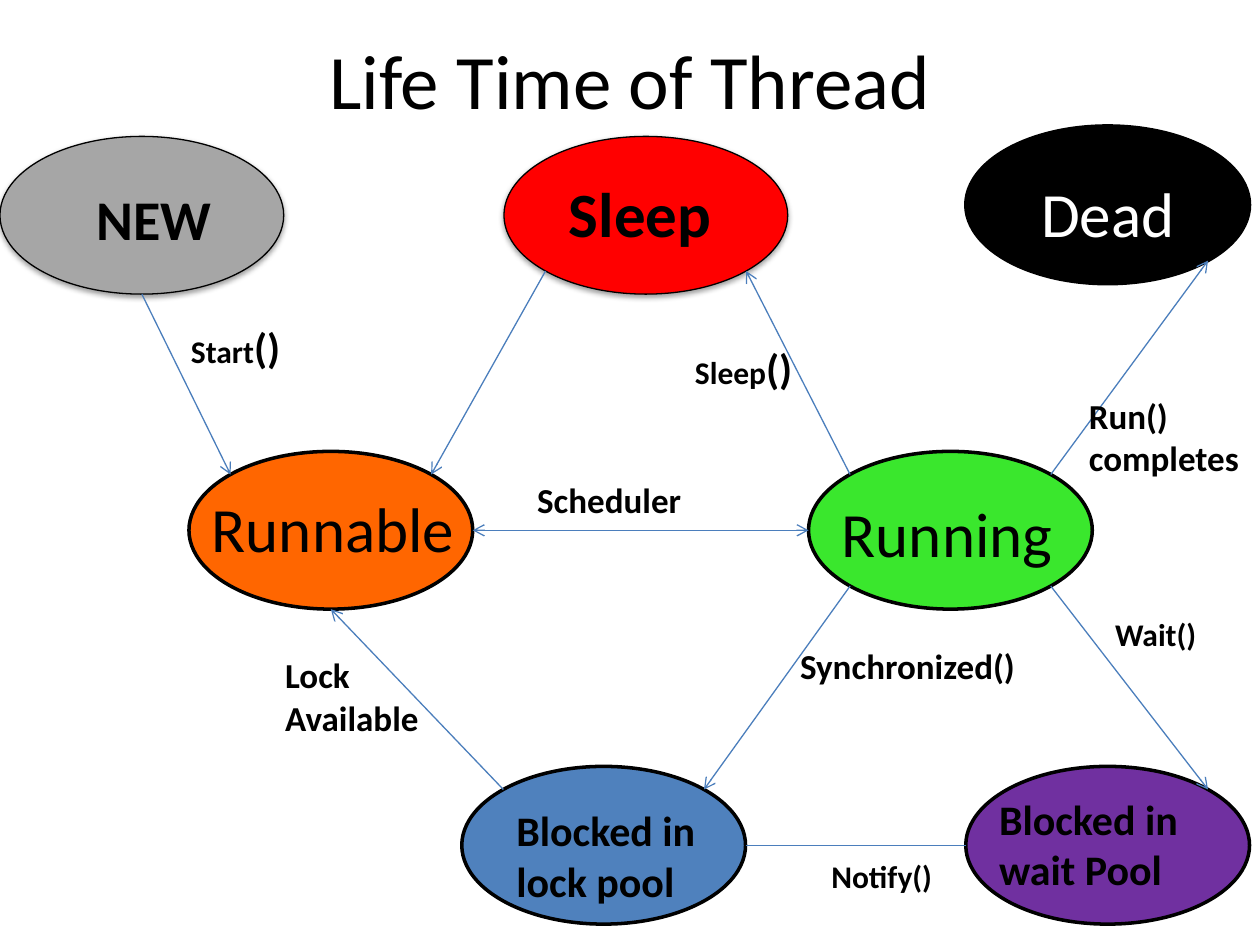
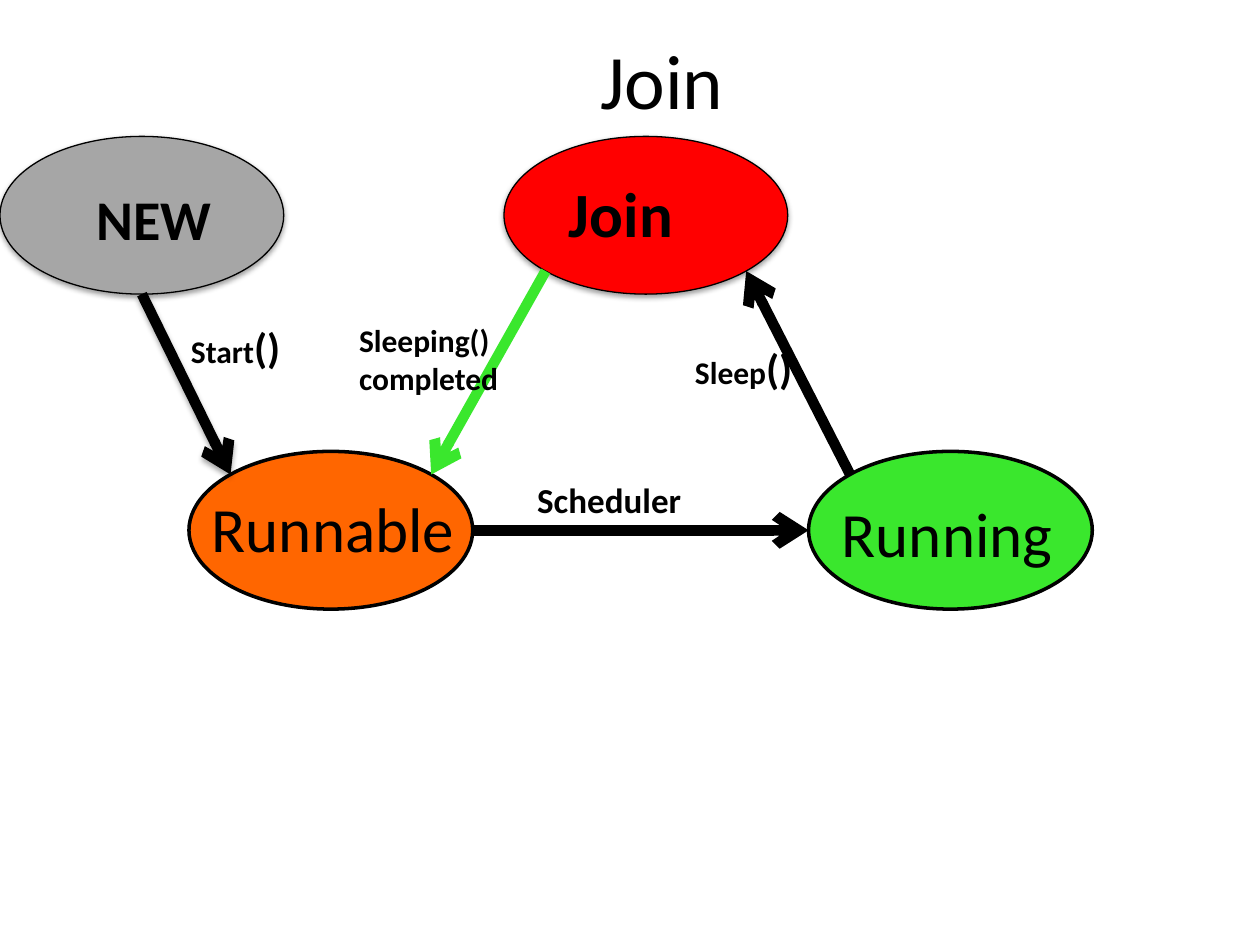
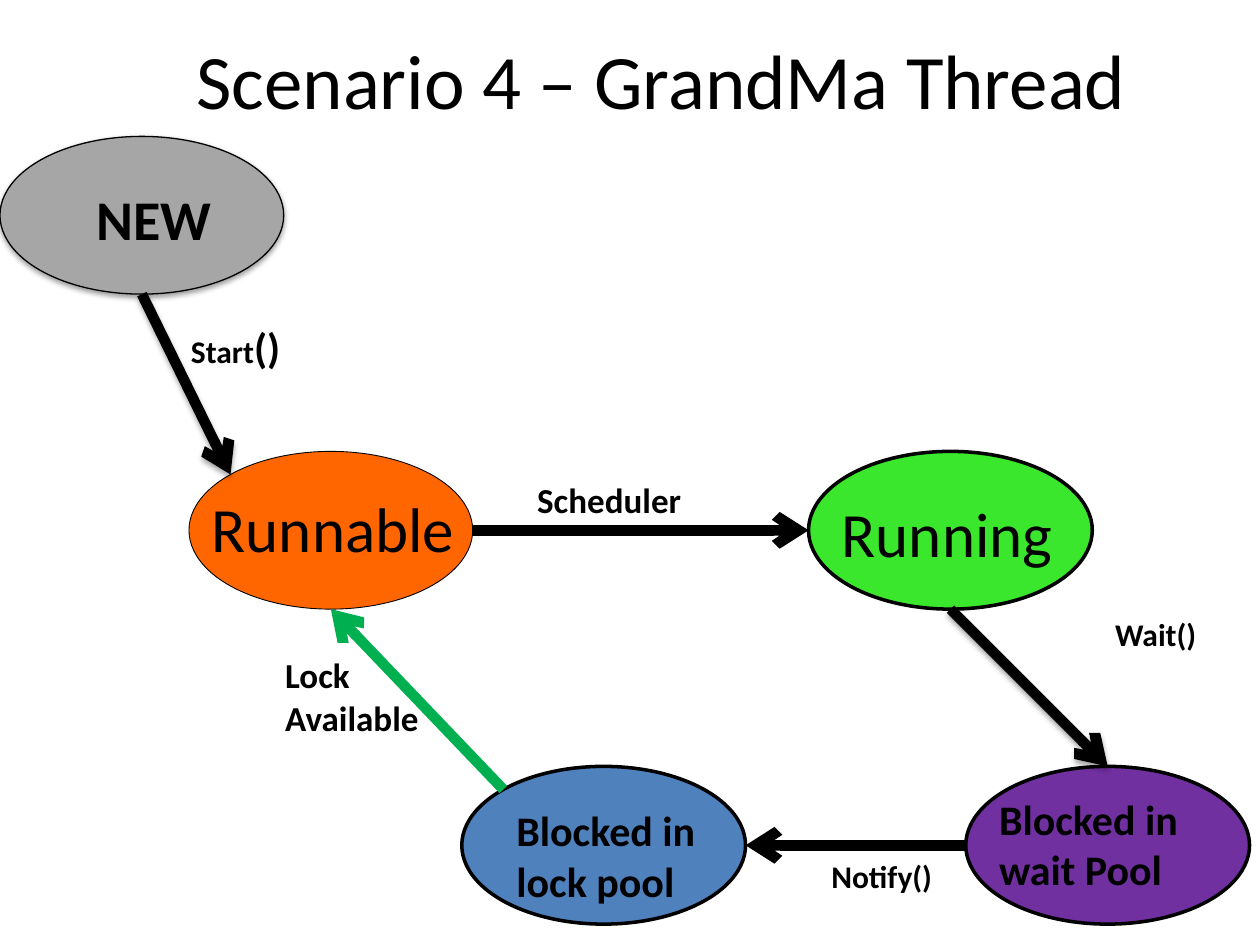
from collections import namedtuple
from math import cos, radians, sin

from lxml.etree import SubElement
from pptx import Presentation
from pptx.dml.color import RGBColor
from pptx.enum.shapes import MSO_CONNECTOR as Connector, MSO_SHAPE as Shape
from pptx.enum.text import MSO_ANCHOR as Anchor, MSO_AUTO_SIZE as AutoSize, PP_ALIGN as Align
from pptx.oxml.ns import qn
from pptx.util import Cm, Pt

FONT = "Calibri"
COLORS = {
    "black": "000000", "white": "FFFFFF", "grey": "A6A6A6", "red": "FF0000",
    "orange": "FF6600", "lime": "3AE72D", "blue": "4F81BD", "purple": "7030A0",
    "thin": "4B7EBC", "green": "00B050",
}
OVAL_WIDTH, OVAL_HEIGHT = 5.72, 3.18
TITLE_WIDTH = 22.86

# Connection sites of an ellipse, counter-clockwise from the top
TOP, TOP_LEFT, LEFT, BOTTOM_LEFT, BOTTOM, BOTTOM_RIGHT, RIGHT, TOP_RIGHT = range(8)

# States: place of the ellipse, and its caption box relative to it (cm)
State = namedtuple("State", "left top fill caption box size bold text_color raised",
                   defaults=(False, "black", False))
SLEEP = State(10.16, 2.75, "red", "Sleep", (1.06, 0.64, 5.08, 1.8), 36, True, raised=True)
STATES = {
    "new": State(0, 2.75, "grey", "NEW", (1.69, 0.85, 3.39, 1.63), 32, True, raised=True),
    "sleep": SLEEP,
    "join": SLEEP._replace(caption="Join"),
    "dead": State(19.47, 2.54, "black", "Dead", (1.27, 0.85, 4.23, 1.8), 36, text_color="white"),
    "runnable": State(3.81, 9.1, "orange", "Runnable", (0.21, 0.64, 6.56, 1.8), 36),
    "running": State(16.3, 9.1, "lime", "Running", (0.42, 0.75, 5.5, 1.8), 36),
    "lock": State(9.31, 15.45, "blue", "Blocked in lock pool", (0.85, 0.65, 4.66, 2.31), 24, True),
    "wait": State(19.47, 15.45, "purple", "Blocked in wait Pool", (0.42, 0.42, 4.66, 2.31), 24, True),
}

# Labels: paragraphs of (text, size) runs, and the box (cm)
LABELS = {
    "start": ([[("Start", 18), ("()", 24)]], (3.6, 6.35, 3.6, 1.27)),
    "sleep": ([[("Sleep", 18), ("()", 24)]], (13.76, 6.77, 3.6, 1.27)),
    "sleeping": ([[("Sleeping()", 18)], [("completed", 18)]], (6.99, 6.35, 3.6, 1.8)),
    "scheduler": ([[("Scheduler", 20)]], (10.58, 9.53, 4.23, 1.12)),
    "run": ([[("Run() completes", 20)]], (21.7, 7.83, 3.7, 1.96)),
    "synchronized": ([[("Synchronized()", 20)]], (15.88, 12.86, 4.87, 1.12)),
    "wait": ([[("Wait()", 18)]], (22.23, 12.28, 2.33, 1.06)),
    "notify": ([[("Notify()", 18)]], (16.51, 17.15, 2.75, 1.02)),
    "available": ([[("Lock", 20), (" ", 24), ("Available", 20)]], (5.5, 12.91, 3.81, 2.13)),
}


def rgb(name):
    return RGBColor.from_string(COLORS[name])


def add_text(shapes, paragraphs, box, *, color="black", bold=False, align=Align.LEFT,
             anchor=Anchor.TOP, grow=True):
    text_box = shapes.add_textbox(*(Cm(value) for value in box))
    frame = text_box.text_frame
    frame.word_wrap = True
    frame.auto_size = AutoSize.SHAPE_TO_FIT_TEXT if grow else AutoSize.NONE
    frame.vertical_anchor = anchor
    for index, runs in enumerate(paragraphs):
        paragraph = frame.add_paragraph() if index else frame.paragraphs[0]
        paragraph.alignment = align
        for text, size in runs:
            run = paragraph.add_run()
            run.text = text
            run.font.name, run.font.size, run.font.bold = FONT, Pt(size), bold
            run.font.color.rgb = rgb(color)
    return text_box


def add_title(slide, text, left=1.91):
    add_text(slide.shapes, [[(text, 44)]], (left, 0, TITLE_WIDTH, 3.18),
             align=Align.CENTER, anchor=Anchor.MIDDLE, grow=False)


def add_label(slide, name):
    paragraphs, box = LABELS[name]
    add_text(slide.shapes, paragraphs, box, bold=True)


def add_drop_shadow(effects, distance, opacity):
    shadow = SubElement(effects, qn("a:outerShdw"), blurRad="40000", dist=str(distance),
                        dir="5400000", rotWithShape="0")
    color = SubElement(shadow, qn("a:srgbClr"), val=COLORS["black"])
    SubElement(color, qn("a:alpha"), val=str(opacity * 1000))


def add_state(slide, name, outline=2):
    """Draw an ellipse grouped with its caption and return the ellipse."""
    state = STATES[name]
    group = slide.shapes.add_group_shape()
    ellipse = group.shapes.add_shape(Shape.OVAL, Cm(state.left), Cm(state.top),
                                     Cm(OVAL_WIDTH), Cm(OVAL_HEIGHT))
    ellipse.fill.solid()
    ellipse.fill.fore_color.rgb = rgb(state.fill)
    ellipse.line.color.rgb = rgb("black")
    ellipse.line.width = Pt(0.75 if state.raised else outline)
    ellipse.shadow.inherit = False
    if state.raised:
        add_drop_shadow(ellipse._element.spPr.find(qn("a:effectLst")), 20000, 38)
    x, y, width, height = state.box
    caption = add_text(group.shapes, [[(state.caption, state.size)]],
                       (state.left + x, state.top + y, width, height),
                       color=state.text_color, bold=state.bold)
    if name == "new":
        caption.fill.solid()
        caption.fill.fore_color.rgb = rgb(state.fill)
    return ellipse


def site_point(ellipse, site):
    angle = radians(90 + 45 * site)
    x = ellipse.left + ellipse.width / 2 * (1 + cos(angle))
    y = ellipse.top + ellipse.height / 2 * (1 - sin(angle))
    return round(x), round(y)


def add_arrow(slide, start, start_site, end, end_site, *, color="black", width=6,
              ends=("tailEnd",), shadow=False):
    """Join two ellipses at their connection sites."""
    connector = slide.shapes.add_connector(
        Connector.STRAIGHT, *site_point(start, start_site), *site_point(end, end_site))
    connector.line.color.rgb = rgb(color)
    connector.line.width = Pt(width)
    for tag in ends:
        SubElement(connector.line._get_or_add_ln(), qn(f"a:{tag}"), type="arrow")
    effects = SubElement(connector._element.spPr, qn("a:effectLst"))
    if shadow:
        add_drop_shadow(effects, 23000, 35)
    # Ellipses have eight sites, so the joins are written directly
    joins = connector._element.find(".//" + qn("p:cNvCxnSpPr"))
    for tag, ellipse, site in (("stCxn", start, start_site), ("endCxn", end, end_site)):
        SubElement(joins, qn(f"a:{tag}"), id=str(ellipse.shape_id), idx=str(site))


def build_diagram(slide, states, arrows, labels, outlines=None, **arrow_format):
    """Arrows are (start, site, end, site, format overrides)."""
    outlines = outlines or {}
    ellipses = {name: add_state(slide, name, outlines.get(name, 2)) for name in states}
    for start, start_site, end, end_site, overrides in arrows:
        add_arrow(slide, ellipses[start], start_site, ellipses[end], end_site,
                  **{**arrow_format, **overrides})
    for name in labels:
        add_label(slide, name)


def build_life_time(slide):
    add_title(slide, "Life Time of Thread", left=1.27)
    build_diagram(
        slide,
        ["runnable", "running", "lock", "wait", "dead", "new", "sleep"],
        [
            ("new", BOTTOM, "runnable", TOP_LEFT, {}),
            ("running", TOP_RIGHT, "dead", BOTTOM_RIGHT, {}),
            ("sleep", BOTTOM_LEFT, "runnable", TOP_RIGHT, {}),
            ("running", TOP_LEFT, "sleep", BOTTOM_RIGHT, {}),
            ("lock", TOP_LEFT, "runnable", BOTTOM, {}),
            ("running", BOTTOM_LEFT, "lock", TOP_RIGHT, {}),
            ("lock", RIGHT, "wait", LEFT, {"ends": ()}),
            ("running", BOTTOM_RIGHT, "wait", TOP_RIGHT, {}),
            ("runnable", RIGHT, "running", LEFT, {"ends": ("headEnd", "tailEnd")}),
        ],
        ["start", "scheduler", "run", "synchronized", "wait", "notify", "available", "sleep"],
        color="thin", width=0.75)


def build_join(slide):
    add_title(slide, "Join")
    build_diagram(
        slide,
        ["runnable", "new", "join", "running"],
        [
            ("new", BOTTOM, "runnable", TOP_LEFT, {"shadow": True}),
            ("join", BOTTOM_LEFT, "runnable", TOP_RIGHT, {"color": "lime"}),
            ("runnable", RIGHT, "running", LEFT, {}),
            ("running", TOP_LEFT, "join", BOTTOM_RIGHT, {}),
        ],
        ["start", "sleeping", "scheduler", "sleep"])


def build_grandma(slide):
    add_title(slide, "Scenario 4 – GrandMa Thread")
    build_diagram(
        slide,
        ["runnable", "new", "running", "wait", "lock"],
        [
            ("new", BOTTOM, "runnable", TOP_LEFT, {"shadow": True}),
            ("runnable", RIGHT, "running", LEFT, {}),
            ("running", BOTTOM, "wait", TOP, {"shadow": True}),
            ("wait", LEFT, "lock", RIGHT, {}),
            ("lock", TOP_LEFT, "runnable", BOTTOM, {"color": "green"}),
        ],
        ["start", "scheduler", "wait", "available", "notify"],
        outlines={"runnable": 0.5})


def main():
    presentation = Presentation()
    presentation.slide_width, presentation.slide_height = Cm(25.4), Cm(19.05)
    blank = presentation.slide_layouts[6]
    for build in (build_life_time, build_join, build_grandma):
        build(presentation.slides.add_slide(blank))
    presentation.save("out.pptx")


if __name__ == "__main__":
    main()
